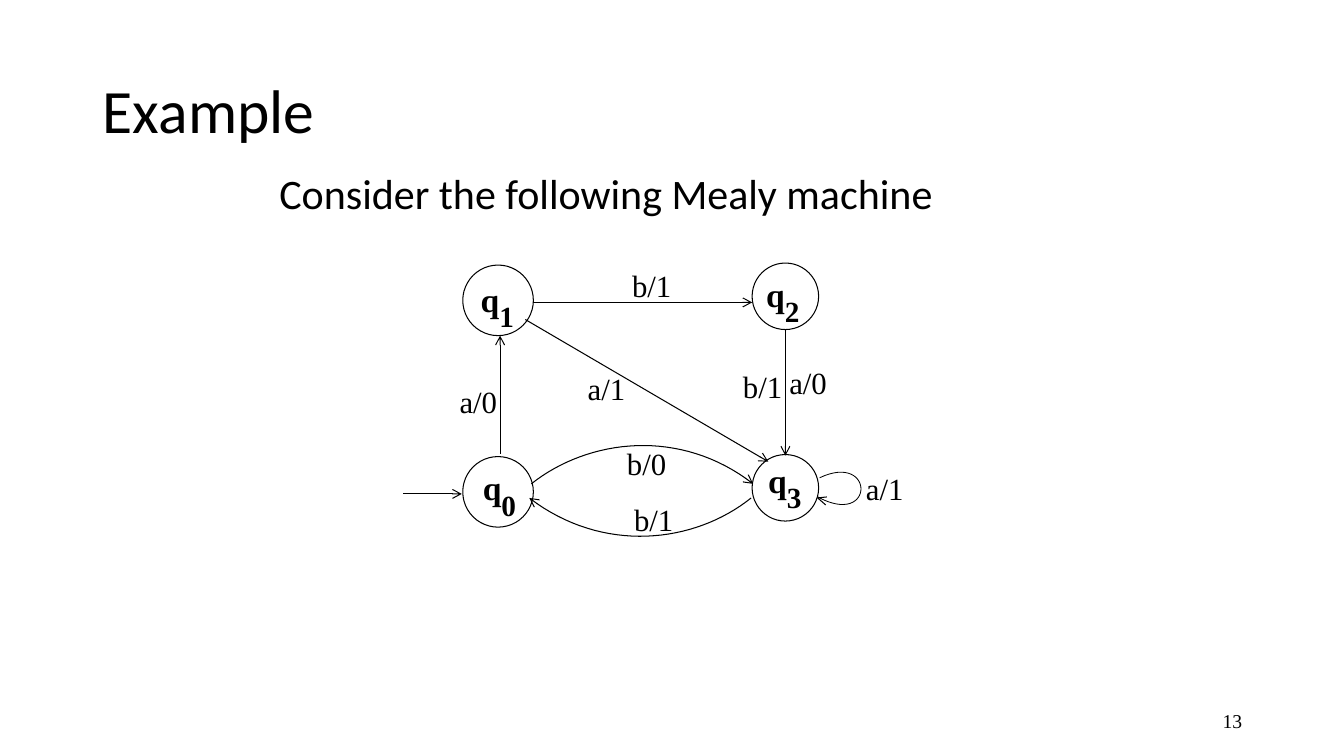
from dataclasses import dataclass

from lxml import etree
from pptx import Presentation
from pptx.dml.color import RGBColor
from pptx.enum import shapes, text
from pptx.oxml import ns
from pptx.util import Inches, Pt


@dataclass(frozen=True)
class Theme:
    ink: RGBColor = RGBColor(0, 0, 0)
    paper: RGBColor = RGBColor(255, 255, 255)
    sans: str = "Calibri"
    serif: str = "Times New Roman"
    title: int = 44
    body: int = 30
    state: int = 24
    subscript: int = 36
    label: int = 22
    number: int = 14
    stroke: float = 0.75
    loop_stroke: float = 0.6


@dataclass(frozen=True)
class Box:
    left: float
    top: float
    width: float
    height: float

    def inner(self, x, y, width=0, height=0):
        """Return a box offset from this box's top left corner."""
        return Box(self.left + x, self.top + y, width, height)

    def lengths(self):
        return [Inches(v) for v in (self.left, self.top, self.width, self.height)]


THEME = Theme()
CURVE_STEPS = 32

# Offsets within the diagram: circle corner and diameter, then name corner
STATES = {
    "0": (0.59, 2.03, 0.7, 0.69, 1.92),
    "1": (0.59, 0.13, 0.7, 0.67, 0.05),
    "2": (3.46, 0.11, 0.66, 3.5, 0),
    "3": (3.46, 2.01, 0.66, 3.52, 1.85),
}
STRAIGHT_EDGES = [
    ((0, 2.4), (0.58, 2.4)),
    ((0.96, 2), (0.96, 0.83)),
    ((1.29, 0.5), (3.46, 0.5)),
    ((1.21, 0.67), (3.62, 2.08)),
    ((3.79, 0.77), (3.79, 2.02)),
]
CURVED_EDGES = [
    ((1.27, 2.3), (1.84, 1.85), (2.75, 1.74), (3.47, 2.3)),
    ((3.45, 2.44), (2.89, 2.89), (1.98, 3), (1.25, 2.44)),
]
LOOP = ((4.13, 2.24), (4.68, 1.98), (4.68, 2.74), (4.11, 2.43))
LOOP_HEAD = [(4.19, 2.51), (4.11, 2.44), (4.2, 2.43)]
LABELS = [
    ("a/0", 0.46, 1.25),
    ("a/1", 1.73, 1.12),
    ("b/1", 2.17, 0.1),
    ("b/1", 3.27, 1.1),
    ("a/0", 3.73, 1.06),
    ("b/0", 2.12, 1.86),
    ("b/1", 2.19, 2.42),
    ("a/1", 4.49, 2.11),
]


def format_run(run, font, size, bold=False):
    run.font.name = font
    run.font.size = Pt(size)
    run.font.bold = bold
    run.font.color.rgb = THEME.ink


def place(shape, box):
    shape.left, shape.top, shape.width, shape.height = box.lengths()


def add_label(page, box, wording, size):
    frame = page.shapes.add_textbox(*box.lengths()).text_frame
    frame.word_wrap = True
    frame.text = wording
    para = frame.paragraphs[0]
    format_run(para.runs[0], THEME.serif, size)
    return para


def format_stroke(shape, width=THEME.stroke, arrow=False):
    shape.line.color.rgb = THEME.ink
    shape.line.width = Pt(width)
    if arrow:
        outline = shape.line._get_or_add_ln()
        etree.SubElement(outline, ns.qn("a:tailEnd"), type="arrow")


def add_title(page, box):
    title = page.shapes.title
    place(title, box)
    frame = title.text_frame
    frame.text = "Example"
    frame.auto_size = text.MSO_AUTO_SIZE.NONE
    frame.vertical_anchor = text.MSO_ANCHOR.MIDDLE
    para = frame.paragraphs[0]
    para.alignment = text.PP_ALIGN.LEFT
    para.line_spacing = 0.9
    format_run(para.runs[0], THEME.sans, THEME.title)


def add_body(page, box):
    body = page.placeholders[1]
    place(body, box)
    frame = body.text_frame
    frame.text = "Consider the following Mealy machine"
    frame.auto_size = text.MSO_AUTO_SIZE.NONE
    para = frame.paragraphs[0]
    para.line_spacing = 0.9
    properties = para._p.get_or_add_pPr()
    properties.set("marL", str(Inches(0.25)))
    properties.set("indent", "0")
    etree.SubElement(properties, ns.qn("a:buNone"))
    format_run(para.runs[0], THEME.sans, THEME.body)


def add_state(page, box, index):
    x, y, diameter, name_x, name_y = STATES[index]
    circle = page.shapes.add_shape(
        shapes.MSO_SHAPE.OVAL, *box.inner(x, y, diameter, diameter).lengths())
    circle.shadow.inherit = False
    circle.fill.solid()
    circle.fill.fore_color.rgb = THEME.paper
    format_stroke(circle)

    para = add_label(page, box.inner(name_x, name_y, 0.96, 0.45), "q", THEME.state)
    para.runs[0].font.bold = True
    subscript = para.add_run()
    subscript.text = index
    format_run(subscript, THEME.serif, THEME.subscript, bold=True)
    subscript._r.get_or_add_rPr().set("baseline", "-30000")


def add_straight_edge(page, box, start, end):
    ends = [length for point in (start, end) for length in box.inner(*point).lengths()[:2]]
    edge = page.shapes.add_connector(shapes.MSO_CONNECTOR.STRAIGHT, *ends)
    format_stroke(edge, arrow=True)
    etree.SubElement(edge._element.spPr, ns.qn("a:effectLst"))


def curve_points(controls):
    """Sample a cubic Bezier curve at equal parameter steps."""
    points = []
    for step in range(CURVE_STEPS + 1):
        t = step / CURVE_STEPS
        weights = ((1 - t) ** 3, 3 * t * (1 - t) ** 2, 3 * t * t * (1 - t), t ** 3)
        points.append(tuple(sum(w * c for w, c in zip(weights, axis))
                            for axis in zip(*controls)))
    return points


def add_path(page, box, points, width=THEME.stroke, arrow=False):
    first, *rest = [box.inner(*point).lengths()[:2] for point in points]
    builder = page.shapes.build_freeform(*first)
    builder.add_line_segments(rest, close=False)
    outline = builder.convert_to_shape()
    outline.shadow.inherit = False
    outline.fill.background()
    format_stroke(outline, width, arrow)


def add_machine(page, box):
    for index in STATES:
        add_state(page, box, index)
    for start, end in STRAIGHT_EDGES:
        add_straight_edge(page, box, start, end)
    for controls in CURVED_EDGES:
        add_path(page, box, curve_points(controls), arrow=True)
    add_path(page, box, curve_points(LOOP), THEME.loop_stroke)
    add_path(page, box, LOOP_HEAD)
    for wording, x, y in LABELS:
        add_label(page, box.inner(x, y, 1.01, 0.41), wording, THEME.label)


def add_page_number(page, box):
    para = add_label(page, box, "13", THEME.number)
    para.alignment = text.PP_ALIGN.RIGHT
    page.shapes[-1].text_frame.vertical_anchor = text.MSO_ANCHOR.MIDDLE


def main():
    deck = Presentation()
    deck.slide_width, deck.slide_height = Inches(13.33), Inches(7.5)
    page = deck.slides.add_slide(deck.slide_layouts[1])
    add_title(page, Box(0.92, 0.4, 11.5, 1.45))
    add_body(page, Box(2.42, 1.67, 8.5, 5.5))
    add_machine(page, Box(4, 2.5, 5.5, 3))
    add_page_number(page, Box(9.42, 6.95, 3, 0.4))
    deck.save("out.pptx")


if __name__ == "__main__":
    main()
